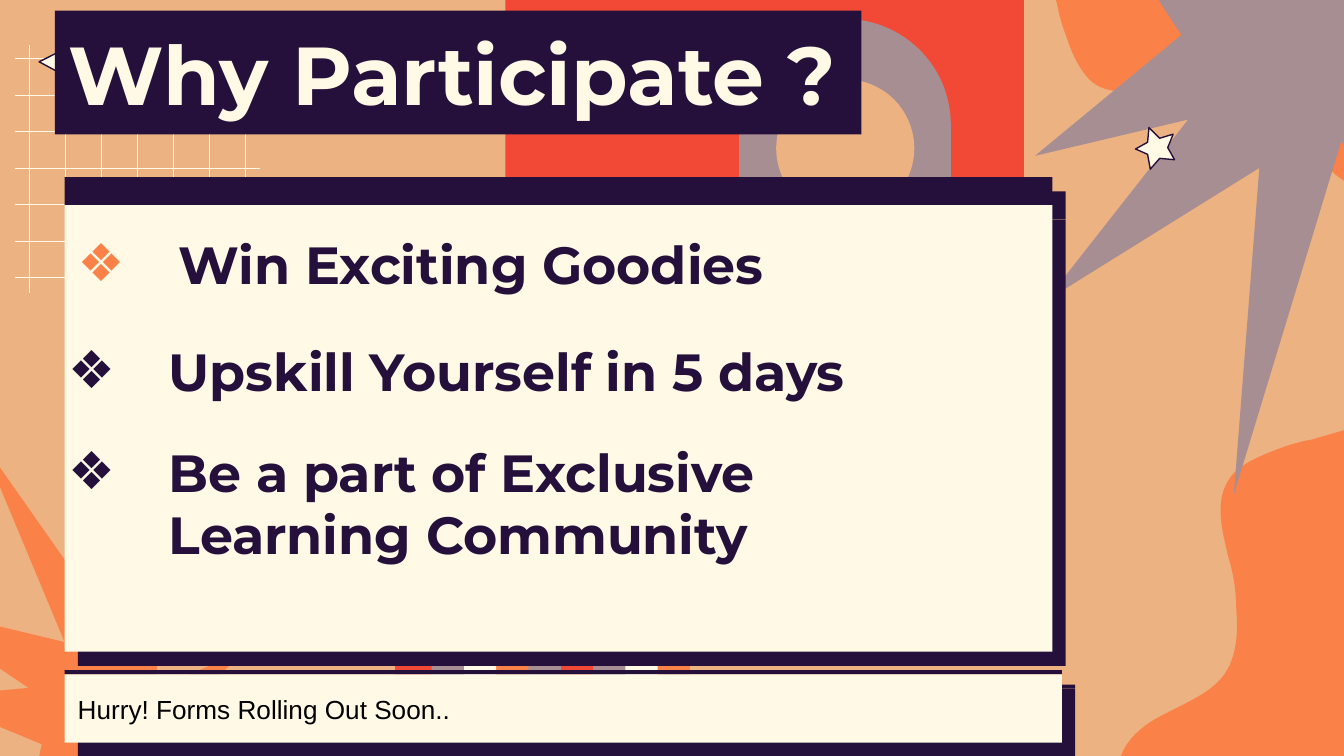
from collections import namedtuple

from pptx import Presentation
from pptx import util as u
from pptx.dml.color import RGBColor
from pptx.enum import shapes, text
from pptx.oxml import parse_xml
from pptx.oxml.ns import nsdecls, qn
from lxml import etree

Box = namedtuple("Box", "left top width height")

SAND = RGBColor(0xEC, 0xB2, 0x81)
ORANGE = RGBColor(0xFA, 0x81, 0x47)
RED = RGBColor(0xF1, 0x49, 0x36)
MAUVE = RGBColor(0xA7, 0x8E, 0x92)
CREAM = RGBColor(0xFF, 0xF9, 0xE5)
INK = RGBColor(0x25, 0x10, 0x3B)
BLACK = RGBColor(0, 0, 0)

GRID_UNIT = u.Cm(2.54) / 100
CURVE_STEPS = 12

LEFT_BURST = [(0, 0), (101, 144), (125, 59), (127, 178), (193, 150), (118, 220),
              (131, 229), (39, 229), (41, 220), (0, 203), (0, 181), (31, 178),
              (0, 157), (0, 130), (58, 144), (0, 5)]
RIGHT_BURST = [(92, 0), (109, 26), (0, 116), (114, 89), (8, 224), (167, 125),
               (148, 368), (228, 105), (230, 108), (230, 0)]
RIGHT_STAR = [(10, 0), (9, 11), (0, 16), (9, 20), (11, 31), (18, 23),
              (29, 24), (24, 15), (28, 5), (18, 8)]
LEFT_STAR = [(16, 0), (27, 11), (42, 9), (35, 22), (42, 36), (26, 33),
             (15, 44), (13, 29), (0, 22), (14, 15)]
TOP_BLOB = [(238, 171), (219, 169, 207, 152, 199, 136), (190, 118, 182, 98, 162, 92),
            (151, 88, 140, 88, 128, 88), (116, 89, 104, 91, 92, 94),
            (75, 98, 54, 105, 38, 94), (30, 88, 25, 78, 21, 69),
            (17, 58, 13, 48, 11, 37), (8, 25, 5, 12, 0, 0),
            (218, 0), (230, 0, 239, 10, 239, 22)]
BOTTOM_BLOB = [(0, 258), (2, 237, 20, 224, 37, 216), (56, 206, 78, 198, 85, 176),
               (89, 164, 89, 151, 88, 139), (88, 126, 86, 113, 82, 100),
               (78, 82, 71, 59, 83, 42), (89, 33, 100, 28, 109, 24),
               (121, 19, 132, 15, 144, 13), (157, 9, 171, 6, 183, 0),
               (183, 236), (183, 249, 173, 259, 160, 259)]


def paint(shape, color):
    shape.shadow.inherit = False
    shape.fill.solid()
    shape.fill.fore_color.rgb = color
    shape.line.fill.background()
    return shape


def add_block(page, box, color, kind=shapes.MSO_SHAPE.RECTANGLE):
    return paint(page.shapes.add_shape(kind, *map(u.Cm, box)), color)


def trace(outline):
    points = [outline[0]]
    for segment in outline[1:]:
        if len(segment) == 2:
            points.append(segment)
            continue
        start = points[-1]
        for step in range(1, CURVE_STEPS + 1):
            t = step / CURVE_STEPS
            weights = ((1 - t) ** 3, 3 * t * (1 - t) ** 2, 3 * t * t * (1 - t), t ** 3)
            points.append(tuple(
                sum(weight * value for weight, value in zip(weights, (start[axis], *segment[axis::2])))
                for axis in (0, 1)))
    return points


def add_outline(page, left, top, outline, color):
    points = [(u.Cm(left) + x * GRID_UNIT, u.Cm(top) + y * GRID_UNIT) for x, y in trace(outline)]
    builder = page.shapes.build_freeform(*points[0], scale=1.0)
    builder.add_line_segments(points[1:], close=True)
    return paint(builder.convert_to_shape(), color)


def add_star(page, left, top, outline):
    star = add_outline(page, left, top, outline, CREAM)
    star.line.color.rgb = INK
    star.line.width = u.Pt(0.75)


def add_stripes(page, box):
    colors = (RED, MAUVE, CREAM, ORANGE, MAUVE, RED, MAUVE, CREAM, ORANGE)
    for column, color in reversed(list(enumerate(colors))):
        add_block(page, Box(box.left + column * 0.61, box.top, 0.69, box.height), color)


def add_arch(page, box):
    add_block(page, box, RED)
    arch_box = Box(box.left + 4.42, box.top + 1.33, 4, 7.54)
    arch = add_block(page, arch_box, MAUVE, shapes.MSO_SHAPE.ROUND_2_SAME_RECTANGLE)
    arch.adjustments[0] = 0.5
    hole_box = Box(arch_box.left + 0.7, arch_box.top + 1.14, 2.61, 2.61)
    add_block(page, hole_box, SAND, shapes.MSO_SHAPE.OVAL)


def add_rule(page, *ends):
    rule = page.shapes.add_connector(shapes.MSO_CONNECTOR.STRAIGHT, *map(u.Cm, ends))
    rule.line.color.rgb = CREAM
    rule.line.width = u.Pt(0.5)
    etree.SubElement(rule._element.spPr, qn("a:effectLst"))


def add_grid(page, box):
    for index in range(7):
        x = box.left + 0.28 + index * 0.68
        add_rule(page, x, box.top, x, box.top + box.height)
    for index in range(7):
        y = box.top + 0.25 + index * 0.69
        add_rule(page, box.left, y, box.left + box.width, y)


def add_shadow(shape):
    effects = shape._element.spPr.find(qn("a:effectLst"))
    effects.append(parse_xml(
        f'<a:outerShdw {nsdecls("a")} blurRad="0" dist="{u.Pt(10.5)}" dir="{47 * 60000}" '
        f'algn="bl" rotWithShape="0"><a:srgbClr val="{INK}"/></a:outerShdw>'))


def write(shape, words, size, color, font="Montserrat", bold=True, bullet_color=None):
    frame = shape.text_frame
    frame.word_wrap = True
    frame.vertical_anchor = text.MSO_ANCHOR.MIDDLE
    frame.margin_left = frame.margin_right = u.Cm(0.25)
    frame.margin_top = frame.margin_bottom = u.Cm(0.25)
    para = frame.paragraphs[0]
    para.text = words
    para.alignment = text.PP_ALIGN.LEFT
    if bullet_color is not None:
        add_bullet(para, bullet_color)
    para.font.name = font
    para.font.size = u.Pt(size)
    para.font.bold = bold
    para.font.color.rgb = color


def add_bullet(para, color):
    properties = para._p.get_or_add_pPr()
    properties.set("marL", str(u.Cm(1.9)))
    properties.set("indent", str(-u.Cm(1.9)))
    tint = etree.SubElement(properties, qn("a:buClr"))
    etree.SubElement(tint, qn("a:srgbClr"), val=str(color))
    etree.SubElement(properties, qn("a:buFont"), typeface="Arial")
    etree.SubElement(properties, qn("a:buChar"), char="❖")


def add_title(page, box):
    write(add_block(page, box, INK), "Why Participate ?", 44, CREAM)


def add_card(page, box, bar_height):
    bar = add_block(page, box._replace(height=bar_height), INK)
    panel = add_block(page, box._replace(top=box.top + bar_height, height=box.height - bar_height), CREAM)
    add_shadow(bar)
    add_shadow(panel)
    return panel


def add_reasons(page, box):
    add_card(page, box, 0.53)
    reasons = (
        ("Win Exciting Goodies", Box(0, 0.64, 17.81, 1.98), ORANGE),
        ("Upskill Yourself in 5 days", Box(-0.18, 2.67, 17.81, 1.98), INK),
        ("Be a part of Exclusive Learning Community", Box(-0.18, 4.98, 17.98, 2.34), INK),
    )
    for words, place, bullet_color in reasons:
        spot = place._replace(left=box.left + place.left, top=box.top + place.top)
        label = page.shapes.add_textbox(*map(u.Cm, spot))
        write(label, words, 28, INK, bullet_color=bullet_color)


def add_footer(page, box):
    panel = add_card(page, box, 0.08)
    write(panel, "Hurry! Forms Rolling Out Soon..", 14, BLACK, font="Arial", bold=False)


def add_backdrop(page, box):
    page.background.fill.solid()
    page.background.fill.fore_color.rgb = SAND
    left, top = box.left, box.top
    add_stripes(page, Box(left + 7.47, top + 11.99, 5.57, 4.44))
    add_arch(page, Box(left + 9.55, top - 0.97, 9.8, 11.28))
    add_outline(page, left - 0.25, top + 8.48, LEFT_BURST, ORANGE)
    add_grid(page, Box(left + 0.28, top + 0.86, 4.64, 4.67))
    add_outline(page, left + 19.71, top - 0.81, TOP_BLOB, ORANGE)
    add_outline(page, left + 21.13, top + 7.98, BOTTOM_BLOB, ORANGE)
    add_outline(page, left + 19.56, top, RIGHT_BURST, MAUVE)
    add_star(page, left + 21.46, top + 2.41, RIGHT_STAR)
    add_star(page, left + 0.74, top + 0.61, LEFT_STAR)


def main():
    deck = Presentation()
    deck.slide_width, deck.slide_height = u.Cm(25.4), u.Cm(14.29)
    page = deck.slides.add_slide(deck.slide_layouts[6])
    add_backdrop(page, Box(0, 0, 25.4, 14.29))
    add_title(page, Box(1.04, 0.2, 15.24, 2.34))
    add_reasons(page, Box(1.22, 3.35, 18.67, 8.97))
    add_footer(page, Box(1.22, 12.67, 18.85, 1.37))
    deck.save("out.pptx")


if __name__ == "__main__":
    main()
